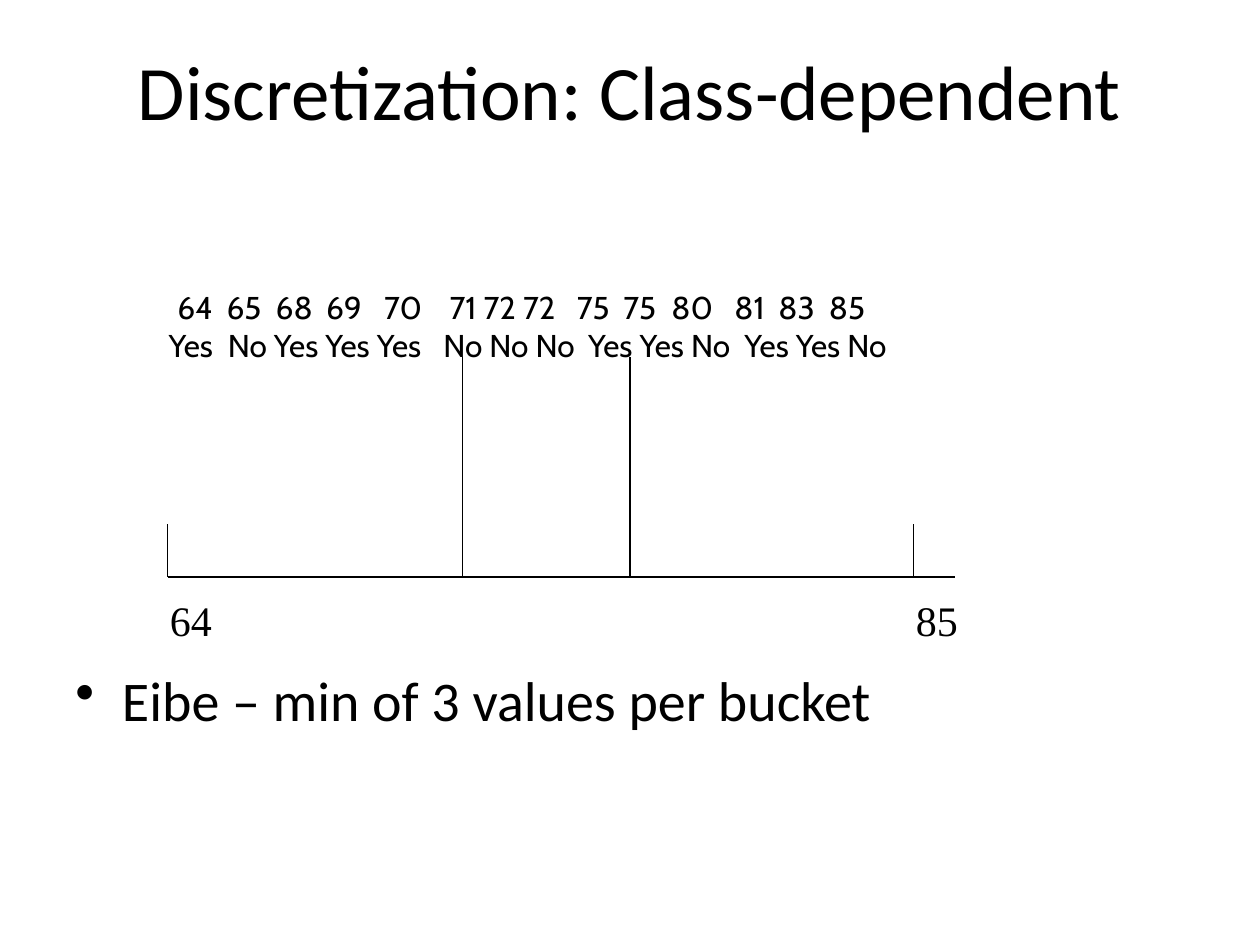
from dataclasses import dataclass

from lxml import etree
from pptx import Presentation, util as u
from pptx.dml.color import RGBColor
from pptx.enum import shapes, text
from pptx.oxml.ns import qn


@dataclass(frozen=True)
class Theme:
    ink: RGBColor = RGBColor(0, 0, 0)
    title: tuple = ("Calibri", 44)
    body: tuple = ("Calibri", 32)
    data: tuple = ("Cabin", 18)
    axis: tuple = ("Times New Roman", 24)
    line: float = 0.75


THEME = Theme()
WIDTH, HEIGHT = 10, 7.5
MARGIN = WIDTH * 0.05
INSET_X, INSET_Y = 0.1, 0.05

TITLE = "Discretization: Class-dependent"
NOTE = "Eibe – min of 3 values per bucket"

# Each row: (distance from the row's start in inches, text)
TEMPERATURES = [
    (0.07, "64"), (0.46, "65"), (0.85, "68"), (1.25, "69"), (1.71, "70"),
    (2.23, "71 72 72"), (3.24, "75"), (3.61, "75"), (3.99, "80"),
    (4.49, "81"), (4.84, "83"), (5.24, "85"),
]
CLASSES = [
    (0, "Yes"), (0.47, "No Yes Yes Yes"), (2.18, "No No No"),
    (3.33, "Yes Yes No"), (4.57, "Yes Yes No"),
]

AXIS_Y, AXIS_LEFT, AXIS_RIGHT = 4.58, 1.33, 7.58
TICKS = [(AXIS_LEFT, 4.16), (7.25, 4.16), (3.67, 2.83), (5, 2.83)]  # x, top
END_LABELS = [(1.25, "64"), (7.17, "85")]


def add_box(page, left, top, width, height, wrap=True):
    box = page.shapes.add_textbox(*map(u.Inches, (left, top, width, height)))
    frame = box.text_frame
    frame.word_wrap = wrap
    frame.vertical_anchor = text.MSO_ANCHOR.TOP
    frame.margin_left = frame.margin_right = u.Inches(INSET_X)
    frame.margin_top = frame.margin_bottom = u.Inches(INSET_Y)
    return frame


def add_span(para, words, style):
    span = para.add_run()
    span.text = words
    span.font.name, size = style
    span.font.size = u.Pt(size)
    span.font.color.rgb = THEME.ink


def add_bullet(para, indent):
    props = para._p.get_or_add_pPr()
    props.set("marL", str(u.Inches(indent)))
    props.set("indent", str(-u.Inches(indent)))
    etree.SubElement(props, qn("a:buChar")).set("char", "•")


def add_row(para, cells):
    """Place each text of a row at its own left tab stop."""
    stops = etree.SubElement(para._p.get_or_add_pPr(), qn("a:tabLst"))
    for offset, words in cells:
        if offset:
            etree.SubElement(stops, qn("a:tab"), pos=str(u.Inches(offset)), algn="l")
        add_span(para, ("\t" if offset else "") + words, THEME.data)


def add_line(page, x1, y1, x2, y2):
    line = page.shapes.add_connector(
        shapes.MSO_CONNECTOR.STRAIGHT, *map(u.Inches, (x1, y1, x2, y2)))
    line.line.color.rgb = THEME.ink
    line.line.width = u.Pt(THEME.line)
    etree.SubElement(line._element.spPr, qn("a:effectLst"))


def main():
    deck = Presentation()
    deck.slide_width, deck.slide_height = u.Inches(WIDTH), u.Inches(HEIGHT)
    page = deck.slides.add_slide(deck.slide_layouts[6])

    title = add_box(page, MARGIN, 0.3, WIDTH - 2 * MARGIN, 1.25).paragraphs[0]
    title.alignment = text.PP_ALIGN.CENTER
    add_span(title, TITLE, THEME.title)

    note = add_box(page, MARGIN, 5.23, WIDTH - 2 * MARGIN, 1.47).paragraphs[0]
    add_bullet(note, 0.37)
    add_span(note, NOTE, THEME.body)

    add_line(page, AXIS_LEFT, AXIS_Y, AXIS_RIGHT, AXIS_Y)
    for left, label in END_LABELS:
        frame = add_box(page, left, 4.67, 0.53, 0.5, wrap=False)
        add_span(frame.paragraphs[0], label, THEME.axis)
    for x, top in TICKS:
        add_line(page, x, AXIS_Y, x, top)

    data = add_box(page, 1.24, 2.24, 6.63, 1)
    add_row(data.paragraphs[0], TEMPERATURES)
    add_row(data.add_paragraph(), CLASSES)

    deck.save("out.pptx")


if __name__ == "__main__":
    main()
